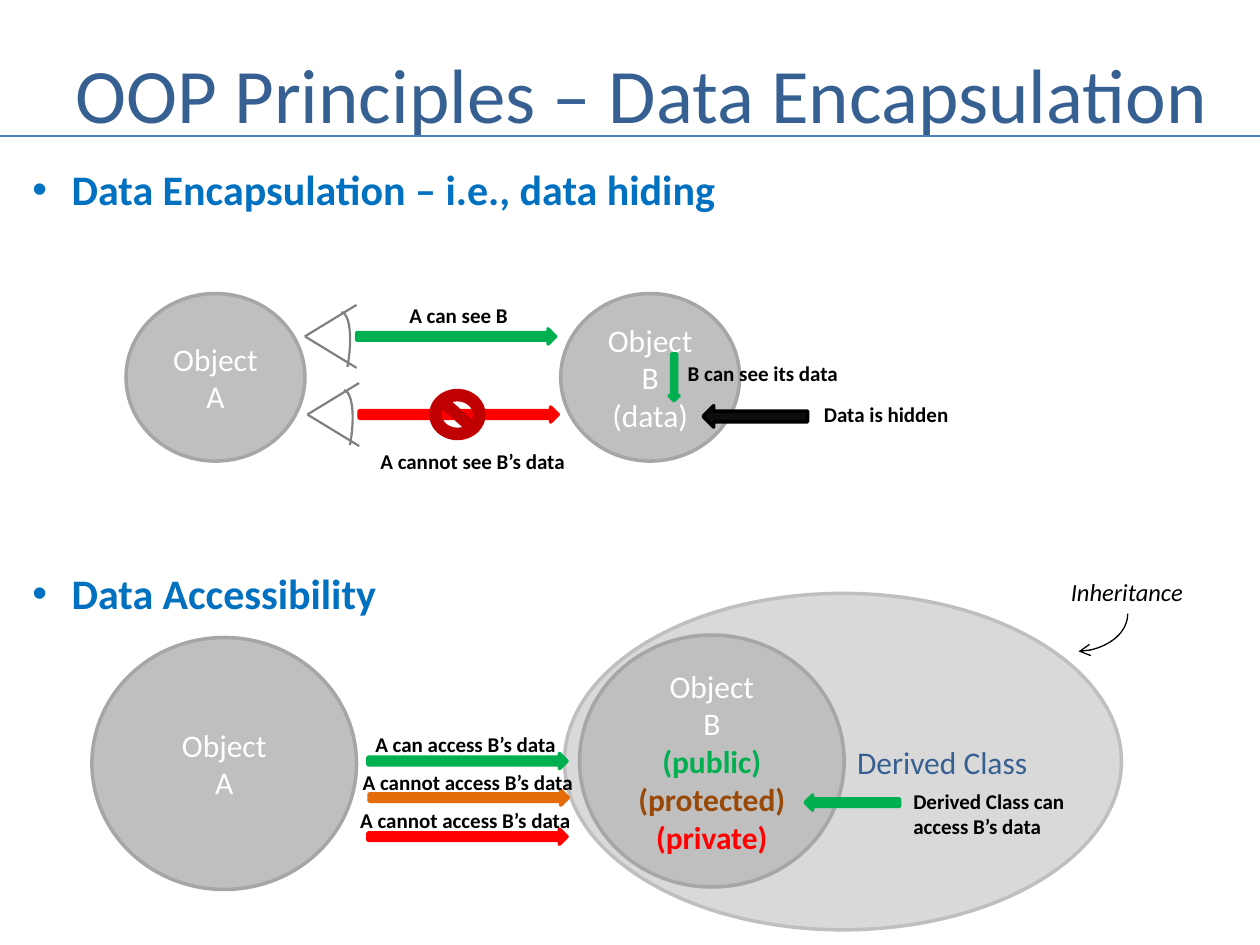
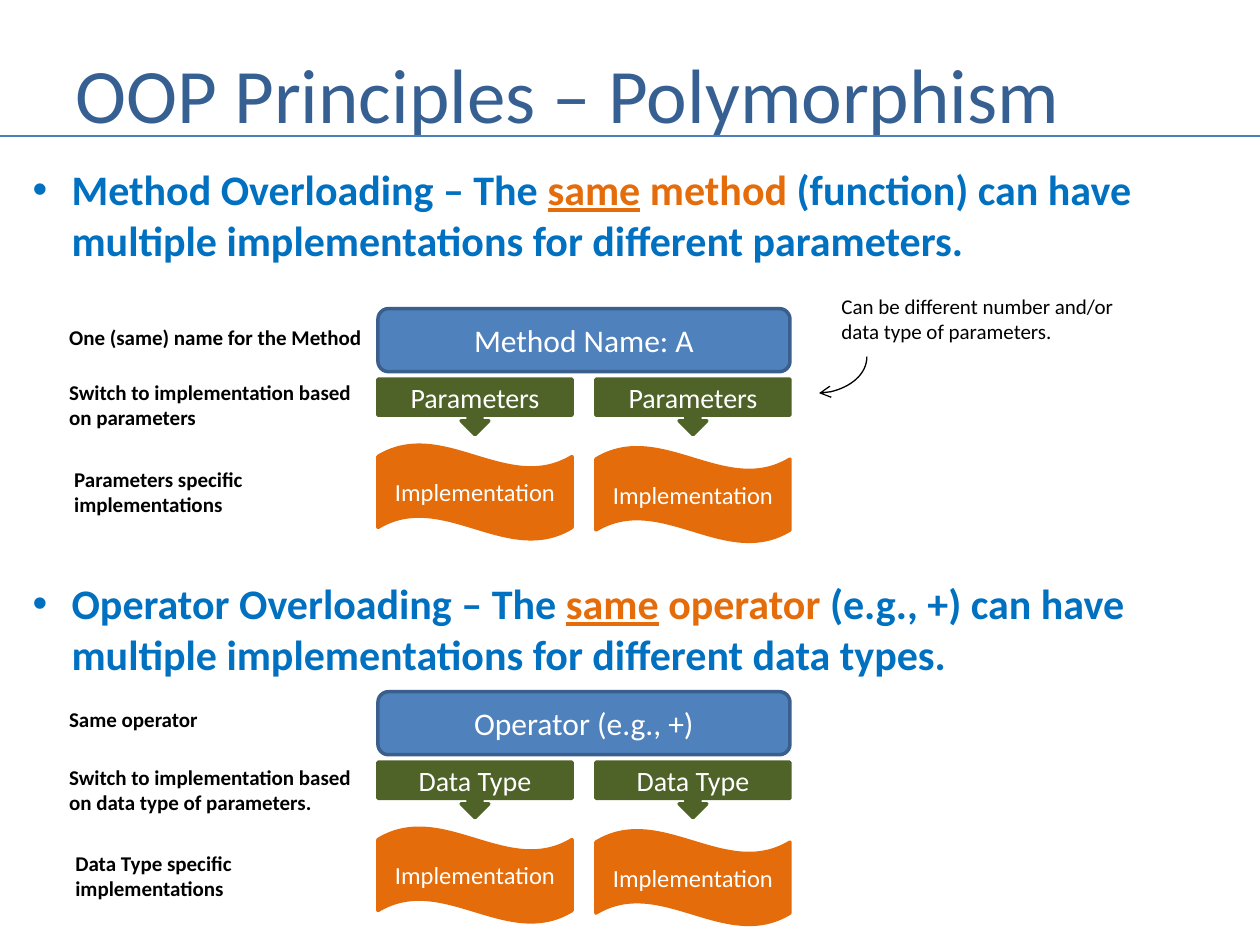
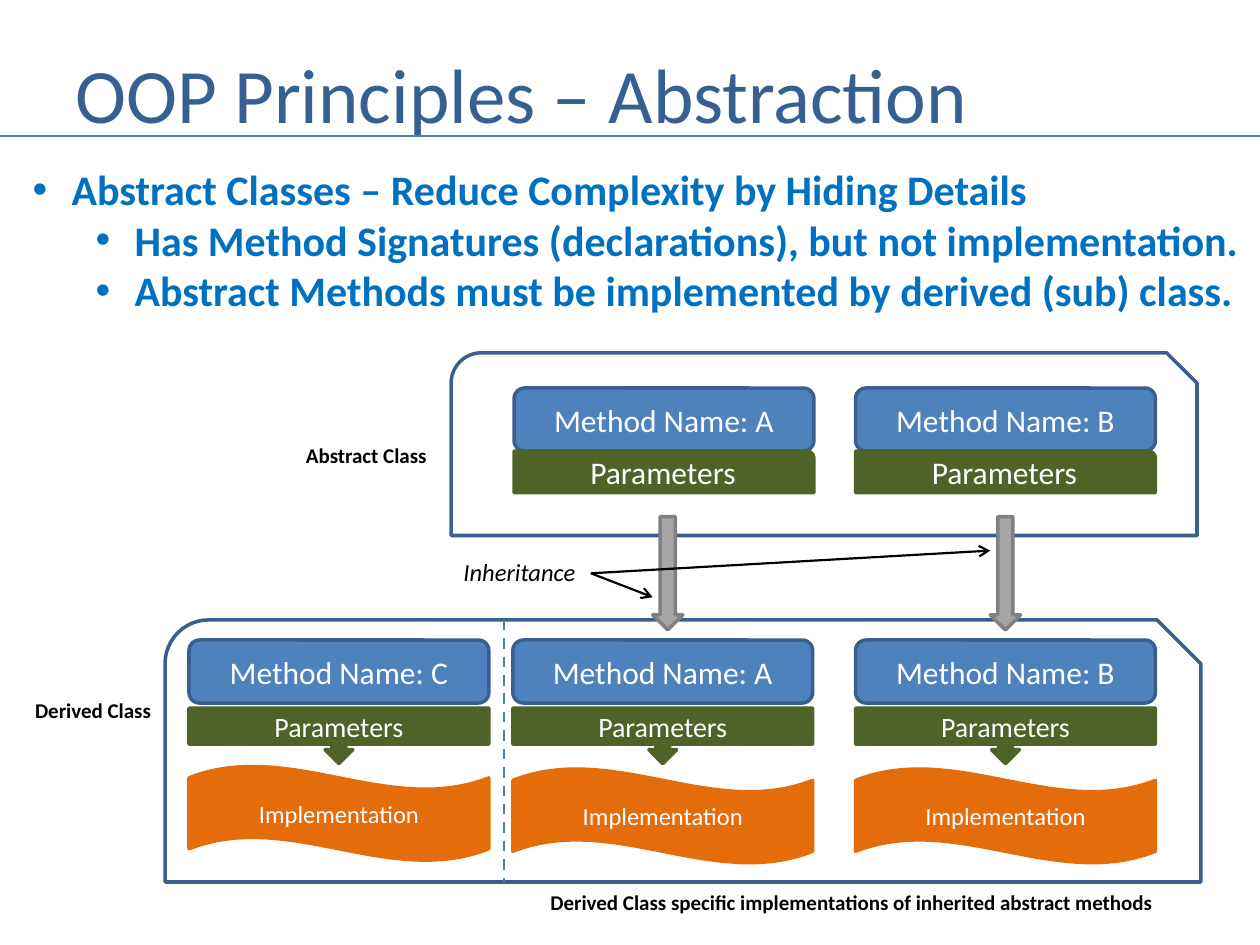
from pptx import Presentation
from pptx.dml.color import RGBColor
from pptx.enum.dml import MSO_LINE
from pptx.enum.shapes import MSO_CONNECTOR, MSO_SHAPE
from pptx.enum.text import MSO_ANCHOR, MSO_AUTO_SIZE, PP_ALIGN
from pptx.oxml.ns import qn
from pptx.util import Inches, Pt
from lxml.etree import SubElement

FONT = "Calibri"
WHITE = RGBColor(0xFF, 0xFF, 0xFF)
BLACK = RGBColor(0, 0, 0)
COAL = RGBColor(0x0D, 0x0D, 0x0D)
NAVY = RGBColor(0x37, 0x60, 0x92)
BLUE = RGBColor(0x00, 0x70, 0xC0)
STEEL = RGBColor(0x4F, 0x81, 0xBD)
EDGE = RGBColor(0x3A, 0x5F, 0x8C)
RULE = RGBColor(0x4B, 0x7E, 0xBC)
GREEN = RGBColor(0x00, 0xB0, 0x50)
OLIVE = RGBColor(0x4F, 0x62, 0x28)
ORANGE = RGBColor(0xE4, 0x6C, 0x0A)
BROWN = RGBColor(0x98, 0x48, 0x07)
RED = RGBColor(0xFF, 0, 0)
DARK_RED = RGBColor(0xC0, 0, 0)
PALE = RGBColor(0xD9, 0xD9, 0xD9)
SILVER = RGBColor(0xBF, 0xBF, 0xBF)
GREY = RGBColor(0xA6, 0xA6, 0xA6)
SLATE = RGBColor(0x80, 0x80, 0x80)


def put(page, kind, at, fill=None, edge=None, rows=(), size=12, color=BLACK,
        style="", align=PP_ALIGN.LEFT, width=2):
    """Add a shape, or a text box if kind is None; a row is a string or (text, color, style) runs."""
    at = [Inches(n) for n in at]
    if kind is None:
        item = page.shapes.add_textbox(*at)
        item.text_frame.word_wrap = False
        item.text_frame.auto_size = MSO_AUTO_SIZE.SHAPE_TO_FIT_TEXT
    else:
        item = page.shapes.add_shape(kind, *at)
        item.shadow.inherit = False
        if fill is None:
            item.fill.background()
        else:
            item.fill.solid()
            item.fill.fore_color.rgb = fill
        item.line.color.rgb = edge or fill
        item.line.width = Pt(width)
        item.text_frame.vertical_anchor = MSO_ANCHOR.MIDDLE
    for i, row in enumerate(rows):
        frame = item.text_frame
        para = frame.add_paragraph() if i else frame.paragraphs[0]
        para.alignment = align
        for words, tint, look in [(row, color, style)] if isinstance(row, str) else row:
            run = para.add_run()
            run.text = words
            run.font.name = FONT
            run.font.size = Pt(size)
            run.font.color.rgb = tint
            run.font.bold = "b" in look
            run.font.italic = "i" in look
            run.font.underline = "u" in look
    return item


def link(page, start, end, color, width, arrow=False, curve=False):
    """Add a line, or a quarter bend that leaves downwards, with an optional arrowhead."""
    kind = MSO_CONNECTOR.STRAIGHT
    if curve:
        # The bend is drawn sideways about its centre, then turned by 90 degrees
        kind = MSO_CONNECTOR.CURVE
        mid = [(a + b) / 2 for a, b in zip(start, end)]
        half = abs(end[1] - start[1]) / 2, abs(end[0] - start[0]) / 2
        start = [m - h for m, h in zip(mid, half)]
        end = [m + h for m, h in zip(mid, half)]
    item = page.shapes.add_connector(kind, *[Inches(n) for n in (*start, *end)])
    item.line.color.rgb = color
    item.line.width = Pt(width)
    props = item._element.spPr
    if curve:
        props.find(qn("a:prstGeom")).set("prst", "curvedConnector2")
        props.find(qn("a:xfrm")).set("rot", str(90 * 60000))
    if arrow:
        SubElement(props.find(qn("a:ln")), qn("a:tailEnd"), type="arrow")
    SubElement(props, qn("a:effectLst"))
    return item


deck = Presentation()
deck.slide_width = Inches(10)
deck.slide_height = Inches(7.5)

# Title, rule and bullets of each slide; a bullet is (indent, space before, row)
plans = [
    ("Data Encapsulation", 8.17, 5.79, [
        (0.31, 0, "Data Encapsulation – i.e., data hiding"),
        (0.31, 202, "Data Accessibility")]),
    ("Polymorphism", 9.59, 4.24, [
        (0.31, 0, [("Method Overloading – The ", BLUE, "b"), ("same", ORANGE, "bu"),
                   (" method ", ORANGE, "b"),
                   ("(function) can have multiple implementations for different parameters.",
                    BLUE, "b")]),
        (0.31, 179, [("Operator Overloading – The ", BLUE, "b"), ("same", ORANGE, "bu"),
                     (" operator ", ORANGE, "b"),
                     ("(e.g., +) can have multiple implementations for different data types.",
                      BLUE, "b")])]),
    ("Abstraction", 9.92, 1.55, [
        (0.31, 0, "Abstract Classes – Reduce Complexity by Hiding Details"),
        (0.81, 0, "Has Method Signatures (declarations), but not implementation."),
        (0.81, 0, "Abstract Methods must be implemented by derived (sub) class.")]),
]
pages = []
for topic, wide, high, points in plans:
    page = deck.slides.add_slide(deck.slide_layouts[6])
    pages.append(page)
    title = put(page, None, (0.5, 0.3, 9.5, 0.87), rows=["OOP Principles – " + topic],
                size=44, color=NAVY)
    title.text_frame.auto_size = MSO_AUTO_SIZE.NONE
    title.text_frame.word_wrap = True
    title.text_frame.vertical_anchor = MSO_ANCHOR.MIDDLE
    link(page, (0, 1.08), (10, 1.08), RULE, 1.5)
    body = put(page, None, (0.16, 1.25, wide, high), rows=[row for _, _, row in points],
               size=24, color=BLUE, style="b")
    body.text_frame.word_wrap = True
    for para, (dent, gap, _) in zip(body.text_frame.paragraphs, points):
        para.space_before = Pt(gap)
        props = para._p.get_or_add_pPr()
        props.set("marL", str(Inches(dent)))
        props.set("indent", str(Inches(-0.31)))
        SubElement(props, qn("a:buFont"), typeface="Arial")
        SubElement(props, qn("a:buChar"), char="•")

hide, poly, base = pages
MID = PP_ALIGN.CENTER
OVAL = MSO_SHAPE.OVAL
RIGHT = MSO_SHAPE.RIGHT_ARROW
LEFT = MSO_SHAPE.LEFT_ARROW
DOWN = MSO_SHAPE.DOWN_ARROW

# Slide 1, upper part: what A and B can see
put(hide, OVAL, (1, 2.33, 1.42, 1.33), SILVER, GREY, ["Object A"], 18, WHITE, align=MID)
for x, y, tint in [(2.42, 2.67, GREEN), (2.44, 3.29, RED)]:
    for rise in (-0.25, 0.25):
        link(hide, (x, y), (x + 0.41, y + rise), SLATE, 1.25)
    eye = put(hide, MSO_SHAPE.ARC, (x + 0.09, y - 0.2, 0.25, 0.84), edge=SLATE, width=1.25)
    eye.rotation = 10.3
    put(hide, RIGHT, (x + 0.41, y - 0.06, 1.58, 0.12), tint)
put(hide, MSO_SHAPE.NO_SYMBOL, (3.42, 3.1, 0.42, 0.38), DARK_RED)
put(hide, OVAL, (4.45, 2.33, 1.42, 1.33), SILVER, GREY, ["Object B", "(data)"], 18, WHITE,
    align=MID)
put(hide, LEFT, (5.58, 3.22, 0.83, 0.17), COAL, BLACK)
put(hide, DOWN, (5.31, 2.81, 0.08, 0.37), GREEN)

# Slide 1, lower part: what A and the derived class can access
put(hide, OVAL, (4.48, 4.71, 4.42, 2.67), PALE, SILVER, ["Derived Class"], 18, NAVY,
    align=PP_ALIGN.RIGHT)
put(hide, OVAL, (4.6, 5.04, 2.1, 2), SILVER, GREY,
    ["Object", "B", [("(public)", GREEN, "b")], [("(protected)", BROWN, "b")],
     [("(private)", RED, "b")]], 18, WHITE, align=MID)
put(hide, OVAL, (0.73, 5.06, 2.1, 2), SILVER, GREY, ["Object", "A"], 18, WHITE, align=MID)
for x, y, tint in [(2.92, 5.98, GREEN), (2.93, 6.27, ORANGE), (2.92, 6.58, RED)]:
    put(hide, RIGHT, (x, y, 1.58, 0.12), tint)
put(hide, LEFT, (6.39, 6.31, 0.75, 0.12), GREEN)
link(hide, (8.95, 4.87), (8.56, 5.17), BLACK, 0.75, arrow=True, curve=True)

# Slide 2: two stacks of name, switches and implementations
for top, name, switch in [(2.45, "Method Name: A", "Parameters"),
                          (5.49, "Operator (e.g., +)", "Data Type")]:
    put(poly, MSO_SHAPE.ROUNDED_RECTANGLE, (3, top, 3.27, 0.5), STEEL, EDGE, [name], 18, WHITE,
        align=MID)
    for x, drop in [(3, 1.08), (4.73, 1.1)]:
        put(poly, MSO_SHAPE.DOWN_ARROW_CALLOUT, (x, top + 0.56, 1.54, 0.44), OLIVE,
            rows=[switch], size=16, color=WHITE, align=MID)
        put(poly, MSO_SHAPE.WAVE, (x, top + drop, 1.54, 0.75), ORANGE,
            rows=["Implementation"], size=14, color=WHITE, align=MID)
put(poly, None, (6.58, 2.28, 2.44, 0.5),
    rows=["Can be different number and/or", "data type of parameters."])
link(poly, (6.88, 2.83), (6.5, 3.12), BLACK, 0.75, arrow=True, curve=True)

# Slide 3: abstract class above, derived class below
for x, name in [(4.08, "Method Name: A"), (6.79, "Method Name: B")]:
    put(base, MSO_SHAPE.ROUNDED_RECTANGLE, (x, 3.08, 2.38, 0.5), STEEL, EDGE, [name], 18, WHITE,
        align=MID)
    put(base, MSO_SHAPE.ROUND_1_RECTANGLE, (x, 3.58, 2.38, 0.33), OLIVE, rows=["Parameters"],
        size=18, color=WHITE, align=MID)
for frame in [(3.58, 2.8, 5.92, 1.45), (1.31, 4.92, 8.22, 2.08)]:
    put(base, MSO_SHAPE.SNIP_ROUND_RECTANGLE, frame, edge=EDGE)
for x, y, name in [(1.5, 6.08, "Method Name: C"), (4.07, 6.1, "Method Name: A"),
                   (6.79, 6.1, "Method Name: B")]:
    put(base, MSO_SHAPE.ROUNDED_RECTANGLE, (x, 5.08, 2.38, 0.5), STEEL, EDGE, [name], 18, WHITE,
        align=MID)
    put(base, MSO_SHAPE.DOWN_ARROW_CALLOUT, (x, 5.62, 2.38, 0.44), OLIVE, rows=["Parameters"],
        size=16, color=WHITE, align=MID)
    put(base, MSO_SHAPE.WAVE, (x, y, 2.38, 0.75), ORANGE, rows=["Implementation"], size=14,
        color=WHITE, align=MID)
link(base, (4, 4.92), (4, 7), RULE, 1.5).line.dash_style = MSO_LINE.DASH
for x in (5.18, 7.86):
    put(base, DOWN, (x, 4.1, 0.24, 0.9), GREY, SLATE)
for end in [(5.18, 4.74), (7.86, 4.37)]:
    link(base, (4.69, 4.55), end, BLACK, 1.25, arrow=True)

# Labels on all slides
for page, x, y, wide, rows in [
    (hide, 6.44, 3.14, 1.21, ["Data is hidden"]),
    (hide, 3.15, 2.35, 0.99, ["A can see B"]),
    (hide, 2.92, 3.51, 1.68, ["A cannot see B’s data"]),
    (hide, 5.36, 2.81, 1.41, ["B can see its data"]),
    (hide, 2.88, 5.76, 1.65, ["A can access B’s data"]),
    (hide, 2.78, 6.06, 1.89, ["A cannot access B’s data"]),
    (hide, 2.76, 6.36, 1.89, ["A cannot access B’s data"]),
    (hide, 7.15, 6.21, 1.41, ["Derived Class can", "access B’s data"]),
    (poly, 0.45, 2.53, 2.55, ["One (same) name for the Method"]),
    (poly, 0.45, 2.96, 2.47, ["Switch to implementation based", "on parameters"]),
    (poly, 0.49, 3.65, 1.59, ["Parameters specific", "implementations"]),
    (poly, 0.45, 5.56, 1.23, ["Same operator"]),
    (poly, 0.45, 6.02, 2.47, ["Switch to implementation based", "on data type of parameters."]),
    (poly, 0.5, 6.7, 1.46, ["Data Type specific", "implementations"]),
    (base, 2.33, 3.46, 1.17, ["Abstract Class"]),
    (base, 0.18, 5.49, 1.13, ["Derived Class"]),
    (base, 4.27, 7.01, 5.04,
     ["Derived Class specific implementations of inherited abstract methods"]),
]:
    put(page, None, (x, y, wide, 0.1 + 0.2 * len(rows)), rows=rows, style="b")
for page, x, y in [(hide, 8.4, 4.53), (base, 3.58, 4.37)]:
    put(page, None, (x, y, 1.1, 0.34), rows=["Inheritance"], size=14, style="i")

deck.save("out.pptx")
